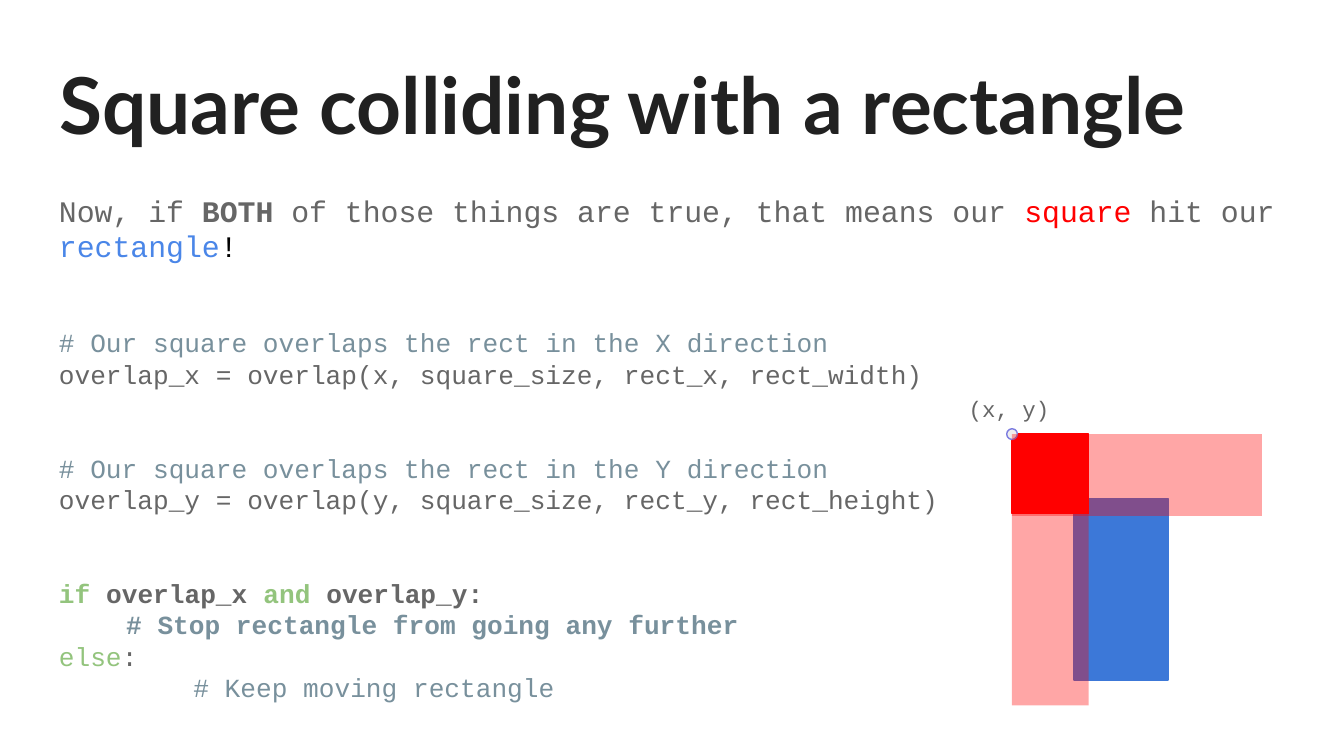
from dataclasses import dataclass

from lxml import etree
from pptx import Presentation
from pptx.dml.color import RGBColor
from pptx.enum.shapes import MSO_SHAPE as Shape
from pptx.enum.text import MSO_ANCHOR, MSO_AUTO_SIZE, PP_ALIGN
from pptx.oxml.ns import qn
from pptx.util import Inches, Pt


@dataclass(frozen=True)
class Theme:
    heading_font: str = "Lato"
    code_font: str = "Courier New"
    title_size: int = 42
    lead_size: int = 16
    code_size: int = 14
    label_size: int = 12
    title: str = "212121"
    text: str = "666666"
    black: str = "000000"
    comment: str = "78909C"
    keyword: str = "93C47D"
    red: str = "FF0000"
    rect_name: str = "4A86E8"
    rect: str = "3C78D8"
    dot: str = "EEEEEE"
    dot_line: str = "7C7CE0"


T = Theme()


def rgb(color):
    return RGBColor.from_string(color)


def add_run(p, text, size=T.code_size, color=T.text, bold=False, font=T.code_font):
    r = p.add_run()
    r.text = text
    r.font.name, r.font.size, r.font.bold = font, Pt(size), bold
    r.font.color.rgb = rgb(color)


def setup_frame(sp):
    tf = sp.text_frame
    tf.word_wrap = True
    tf.auto_size = MSO_AUTO_SIZE.NONE
    tf.vertical_anchor = MSO_ANCHOR.TOP
    tf.margin_left = tf.margin_right = Inches(0.1)
    tf.margin_top = tf.margin_bottom = Inches(0.1)
    return tf


def add_text_box(s, x, y, w, h):
    return setup_frame(s.shapes.add_textbox(Inches(x), Inches(y), Inches(w), Inches(h)))


def add_block(s, x, y, w, h, fill, kind=Shape.RECTANGLE, line=None, alpha=None):
    sp = s.shapes.add_shape(kind, Inches(x), Inches(y), Inches(w), Inches(h))
    sp.shadow.inherit = False
    sp.fill.solid()
    sp.fill.fore_color.rgb = rgb(fill)
    if line:
        sp.line.color.rgb = rgb(line)
        sp.line.width = Pt(0.75)
    else:
        sp.line.fill.background()
    if alpha:
        color = sp.fill._xPr.find(".//" + qn("a:srgbClr"))
        etree.SubElement(color, qn("a:alpha")).set("val", str(alpha * 1000))


def place_title(s, x, y, w, h, text):
    sp = s.shapes.title
    sp.left, sp.top, sp.width, sp.height = map(Inches, (x, y, w, h))
    p = setup_frame(sp).paragraphs[0]
    p.alignment = PP_ALIGN.LEFT
    add_run(p, text, size=T.title_size, color=T.title, bold=True, font=T.heading_font)


def draw_explanation(s, x, y, w, h):
    lead = [
        ("Now, if ", T.text, False),
        ("BOTH", T.text, True),
        (" of those things are true, that means our ", T.text, False),
        ("square ", T.red, False),
        ("hit our ", T.text, False),
        ("rectangle", T.rect_name, False),
        ("!", T.black, False),
    ]
    condition = [
        ("if ", T.keyword, True),
        ("overlap_x ", T.text, True),
        ("and ", T.keyword, True),
        ("overlap_y:", T.text, True),
    ]
    gap = 33.6
    lines = [
        (lead, T.lead_size, 0, 0),
        ([("# Our square overlaps the rect in the X direction", T.comment, False)], T.code_size, gap, 0),
        ([("overlap_x = overlap(x, square_size, rect_x, rect_width)", T.text, False)], T.code_size, 0, 0),
        ([("# Our square overlaps the rect in the Y direction", T.comment, False)], T.code_size, gap, 0),
        ([("overlap_y = overlap(y, square_size, rect_y, rect_height)", T.text, False)], T.code_size, 0, 0),
        (condition, T.code_size, gap, 0),
        ([("# Stop rectangle from going any further", T.comment, True)], T.code_size, 0, 0.5),
        ([("else", T.keyword, False), (":", T.text, False)], T.code_size, 0, 0),
        ([("# Keep moving rectangle", T.comment, False)], T.code_size, 0, 1),
    ]
    tf = add_text_box(s, x, y, w, h)
    for i, (runs, size, before, indent) in enumerate(lines):
        p = tf.add_paragraph() if i else tf.paragraphs[0]
        p.space_before = Pt(before)
        p._p.get_or_add_pPr().set("indent", str(Inches(indent)))
        for text, color, bold in runs:
            add_run(p, text, size=size, color=color, bold=bold)


def draw_collision(s, x, y, w, h):
    side_w, side_h, dot = 0.57, 0.59, 0.08
    add_block(s, x + 0.46, y + 0.48, 0.7, 1.35, T.rect, line=T.rect)
    add_block(s, x, y, side_w, side_h, T.red, line=T.red)
    p = add_text_box(s, x - 0.42, y - 0.39, 0.93, 0.4).paragraphs[0]
    add_run(p, "(x, y)", size=T.label_size)
    add_block(s, x - dot / 2, y - dot / 2, dot, dot, T.dot, kind=Shape.OVAL, line=T.dot_line)
    add_block(s, x, y, w, side_h + 0.02, T.red, alpha=35)
    add_block(s, x, y + 0.18, side_w, h - 0.18, T.red, alpha=35)


def main():
    prs = Presentation()
    prs.slide_width, prs.slide_height = Inches(10), Inches(10 * 9 / 16)
    s = prs.slides.add_slide(prs.slide_layouts[5])
    place_title(s, 0.34, 0.32, 9.32, 0.88, "Square colliding with a rectangle")
    draw_explanation(s, 0.34, 1.33, 9.42, 3.92)
    draw_collision(s, 7.53, 3.23, 1.86, 2.02)
    prs.save("out.pptx")


if __name__ == "__main__":
    main()
